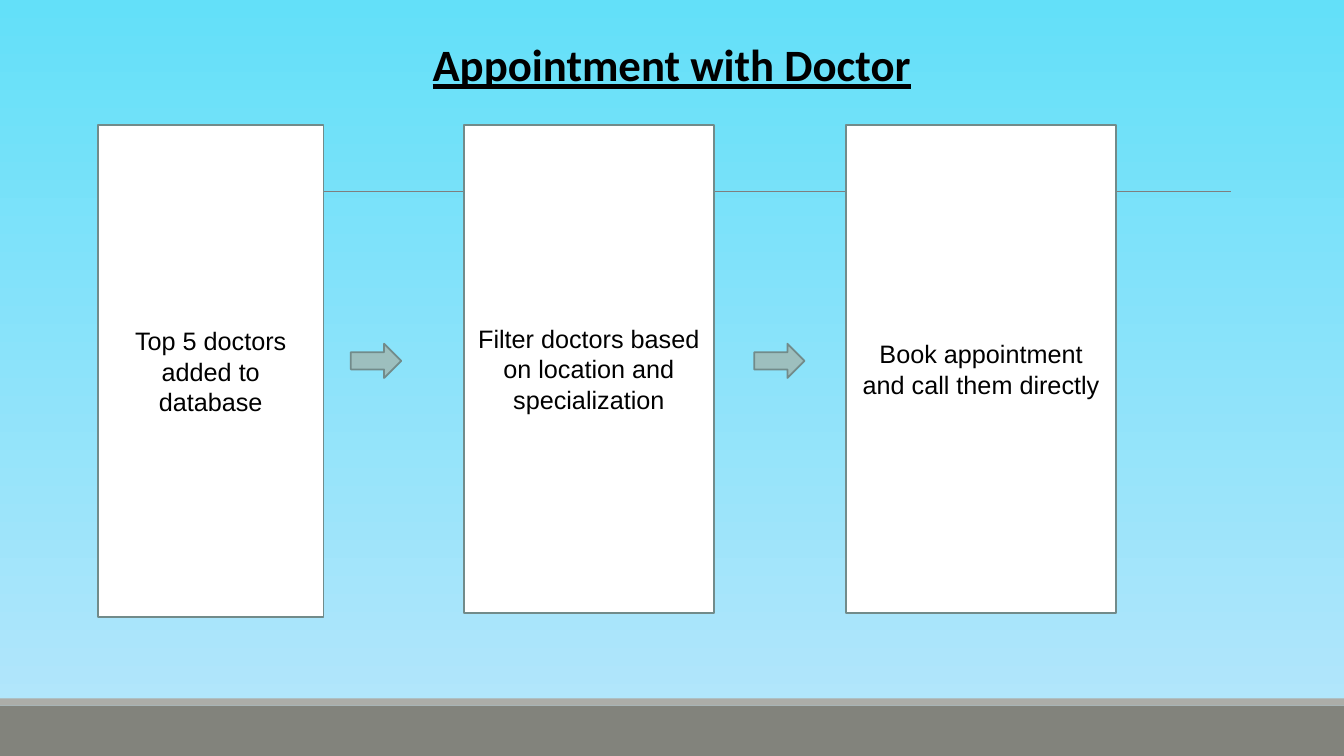
from lxml import etree
from pptx import Presentation
from pptx.dml.color import RGBColor
from pptx.enum.shapes import MSO_CONNECTOR, MSO_SHAPE
from pptx.enum.text import MSO_ANCHOR, PP_ALIGN
from pptx.oxml.ns import qn
from pptx.util import Inches, Pt

RECTANGLE = MSO_SHAPE.RECTANGLE
RIGHT_ARROW = MSO_SHAPE.RIGHT_ARROW
STRAIGHT = MSO_CONNECTOR.STRAIGHT
CENTER = PP_ALIGN.CENTER
MIDDLE = MSO_ANCHOR.MIDDLE

SLIDE_WIDTH, SLIDE_HEIGHT = 13.33, 7.5
COLORS = {
    "sky_top": "63E0F9",
    "sky_bottom": "B7E6FB",
    "footer": "82837C",
    "footer_edge": "ACADA8",
    "rule": "7F7F7F",
    "card": "FFFFFF",
    "arrow": "9DBFBE",
    "outline": "728B8A",
    "text": "000000",
}
TITLE = "Appointment with Doctor"
FOOTER_BANDS = [(7, 0.5, "footer"), (6.93, 0.07, "footer_edge")]
STEP_TOP = 1.24
STEPS = [
    ("Top 5 doctors added to database", 0.97, 2.24, 4.88),
    ("Filter doctors based on location and specialization", 4.6, 2.48, 4.84),
    ("Book appointment and call them directly", 8.39, 2.68, 4.84),
]
ARROW_LEFTS = [3.48, 7.48]
ARROW_TOP, ARROW_WIDTH, ARROW_HEIGHT = 3.41, 0.5, 0.34
RULE_LEFT, RULE_RIGHT, RULE_TOP = 1.31, 12.21, 1.9


def color(name):
    return RGBColor.from_string(COLORS[name])


def add_box(slide, kind, left, top, width, height, fill, outline=None):
    shape = slide.shapes.add_shape(
        kind, Inches(left), Inches(top), Inches(width), Inches(height))
    shape.shadow.inherit = False
    shape.fill.solid()
    shape.fill.fore_color.rgb = color(fill)
    if outline:
        shape.line.color.rgb = color(outline)
        shape.line.width = Pt(1.25)
    else:
        shape.line.fill.background()
    return shape


def write_text(shape, text, size, font_name):
    frame = shape.text_frame
    frame.word_wrap = True
    frame.text = text
    paragraph = frame.paragraphs[0]
    paragraph.alignment = CENTER
    paragraph.font.size = Pt(size)
    paragraph.font.name = font_name
    paragraph.font.color.rgb = color("text")
    return paragraph


def paint_background(slide):
    fill = slide.background.fill
    fill.gradient()
    fill.gradient_angle = 270
    for stop, name in zip(fill.gradient_stops, ("sky_top", "sky_bottom")):
        stop.color.rgb = color(name)


def add_rule(slide):
    rule = slide.shapes.add_connector(
        STRAIGHT, Inches(RULE_LEFT), Inches(RULE_TOP),
        Inches(RULE_RIGHT), Inches(RULE_TOP))
    rule.line.color.rgb = color("rule")
    rule.line.width = Pt(0.75)
    etree.SubElement(rule._element.spPr, qn("a:effectLst"))


def main():
    presentation = Presentation()
    presentation.slide_width = Inches(SLIDE_WIDTH)
    presentation.slide_height = Inches(SLIDE_HEIGHT)
    slide = presentation.slides.add_slide(presentation.slide_layouts[6])
    paint_background(slide)

    for top, height, fill in FOOTER_BANDS:
        add_box(slide, RECTANGLE, 0, top, SLIDE_WIDTH, height, fill)
    add_rule(slide)

    title = slide.shapes.add_textbox(
        0, Inches(0.32), Inches(SLIDE_WIDTH), Inches(0.64))
    heading = write_text(title, TITLE, 32, "Calibri")
    heading.font.bold = True
    heading.font.underline = True

    for text, left, width, height in STEPS:
        card = add_box(slide, RECTANGLE, left, STEP_TOP, width, height,
                       "card", "outline")
        card.text_frame.vertical_anchor = MIDDLE
        write_text(card, text, 18, "Arial")

    for left in ARROW_LEFTS:
        add_box(slide, RIGHT_ARROW, left, ARROW_TOP, ARROW_WIDTH, ARROW_HEIGHT,
                "arrow", "outline")

    presentation.save("out.pptx")


if __name__ == "__main__":
    main()
